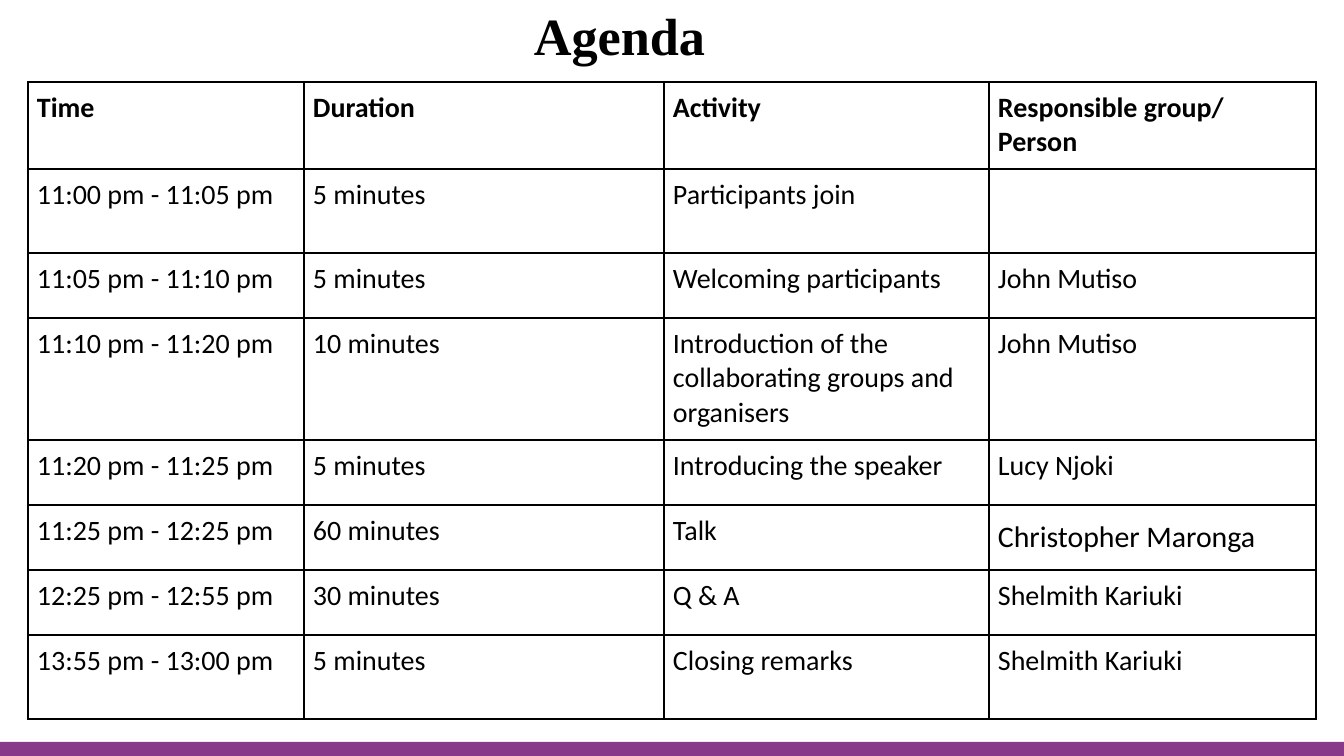
"""Build the agenda slide: a title, a schedule table and a bottom band."""
import dataclasses

import lxml.etree
import pptx
import pptx.dml.color
import pptx.enum.shapes
import pptx.enum.text
import pptx.oxml.ns
import pptx.util

EMU_PER_PIXEL = 914400 / 134.4
SLIDE_SIZE = (1344, 756)
COLUMN_WIDTHS = (276, 360, 325, 327)
ROW_HEIGHTS = (87, 84, 65, 122, 65, 65, 65, 84)
SCHEDULE = (
    ("Time", "Duration", "Activity", "Responsible group/ Person"),
    ("11:00 pm - 11:05 pm", "5 minutes", "Participants join", ""),
    ("11:05 pm - 11:10 pm", "5 minutes", "Welcoming participants", "John Mutiso"),
    ("11:10 pm - 11:20 pm", "10 minutes",
     "Introduction of the collaborating groups and organisers", "John Mutiso"),
    ("11:20 pm - 11:25 pm", "5 minutes", "Introducing the speaker", "Lucy Njoki"),
    ("11:25 pm - 12:25 pm", "60 minutes", "Talk", "Christopher Maronga"),
    ("12:25 pm - 12:55 pm", "30 minutes", "Q & A", "Shelmith Kariuki"),
    ("13:55 pm - 13:00 pm", "5 minutes", "Closing remarks", "Shelmith Kariuki"),
)
SPEAKER = "Christopher Maronga"


@dataclasses.dataclass(frozen=True)
class Theme:
    """Colours, fonts and type sizes of the slide."""
    ink: str = "000000"
    band: str = "88398A"
    title_font: str = "Times New Roman"
    body_font: str = "Calibri"
    title_size: int = 28
    body_size: int = 15
    speaker_size: int = 16
    border_width: int = 1


def px(length):
    """Turn pixels into EMU."""
    return pptx.util.Emu(round(length * EMU_PER_PIXEL))


def apply(target, values):
    """Set each named attribute of the target."""
    for name, value in values.items():
        setattr(target, name, value)


def margins(length):
    """Return equal margins on all four sides."""
    return {f"margin_{side}": px(length) for side in ("left", "top", "right", "bottom")}


class SlideBuilder:
    """Draw elements on one slide in one theme."""

    def __init__(self, slide, theme):
        """Keep the slide and its theme."""
        self.slide = slide
        self.theme = theme

    def add_text(self, paragraph, text, font, size, bold=False):
        """Add one styled run to a paragraph."""
        run = paragraph.add_run()
        run.text = text
        apply(run.font, {"name": font, "size": pptx.util.Pt(size), "bold": bold})
        run.font.color.rgb = pptx.dml.color.RGBColor.from_string(self.theme.ink)

    def band(self, *box):
        """Draw a plain coloured rectangle."""
        shape = self.slide.shapes.add_shape(
            pptx.enum.shapes.MSO_SHAPE.RECTANGLE, *map(px, box))
        shape.shadow.inherit = False
        shape.fill.solid()
        shape.fill.fore_color.rgb = pptx.dml.color.RGBColor.from_string(self.theme.band)
        shape.line.fill.background()

    def title(self, text, *box):
        """Place the centred title."""
        frame = self.slide.shapes.add_textbox(*map(px, box)).text_frame
        apply(frame, {"word_wrap": True, **margins(13),
                      "vertical_anchor": pptx.enum.text.MSO_ANCHOR.MIDDLE})
        paragraph = frame.paragraphs[0]
        paragraph.alignment = pptx.enum.text.PP_ALIGN.CENTER
        self.add_text(paragraph, text, self.theme.title_font, self.theme.title_size, True)

    def border(self, cell):
        """Outline all four sides of a cell."""
        properties = cell._tc.get_or_add_tcPr()
        qn = pptx.oxml.ns.qn
        width = str(pptx.util.Pt(self.theme.border_width))
        for side in ("a:lnL", "a:lnR", "a:lnT", "a:lnB"):
            line = lxml.etree.SubElement(properties, qn(side), w=width)
            fill = lxml.etree.SubElement(line, qn("a:solidFill"))
            lxml.etree.SubElement(fill, qn("a:srgbClr"), val=self.theme.ink)

    def cell(self, cell, text, bold):
        """Style and fill one table cell."""
        self.border(cell)
        cell.fill.background()
        apply(cell, margins(9))
        paragraph = cell.text_frame.paragraphs[0]
        size = self.theme.body_size
        if text == SPEAKER:
            size = self.theme.speaker_size
            paragraph.line_spacing = 1.15
        if text:
            self.add_text(paragraph, text, self.theme.body_font, size, bold)

    def table(self, rows, left, top, widths, heights):
        """Draw a bordered table with a bold first row."""
        table = self.slide.shapes.add_table(
            len(rows), len(widths), px(left), px(top),
            px(sum(widths)), px(sum(heights))).table
        apply(table, {"first_row": False, "horz_banding": False})
        for column, width in zip(table.columns, widths):
            column.width = px(width)
        for index, (row, height) in enumerate(zip(table.rows, heights)):
            row.height = px(height)
            for cell, text in zip(row.cells, rows[index]):
                self.cell(cell, text, index == 0)


def main():
    """Build and save the presentation."""
    presentation = pptx.Presentation()
    width, height = SLIDE_SIZE
    apply(presentation, {"slide_width": px(width), "slide_height": px(height)})
    slide = presentation.slides.add_slide(presentation.slide_layouts[6])
    builder = SlideBuilder(slide, Theme())
    builder.band(0, 742, width, 14)
    builder.table(SCHEDULE, 28, 82, COLUMN_WIDTHS, ROW_HEIGHTS)
    builder.title("Agenda", 160, 0, 919, 69)
    presentation.save("out.pptx")


if __name__ == "__main__":
    main()
